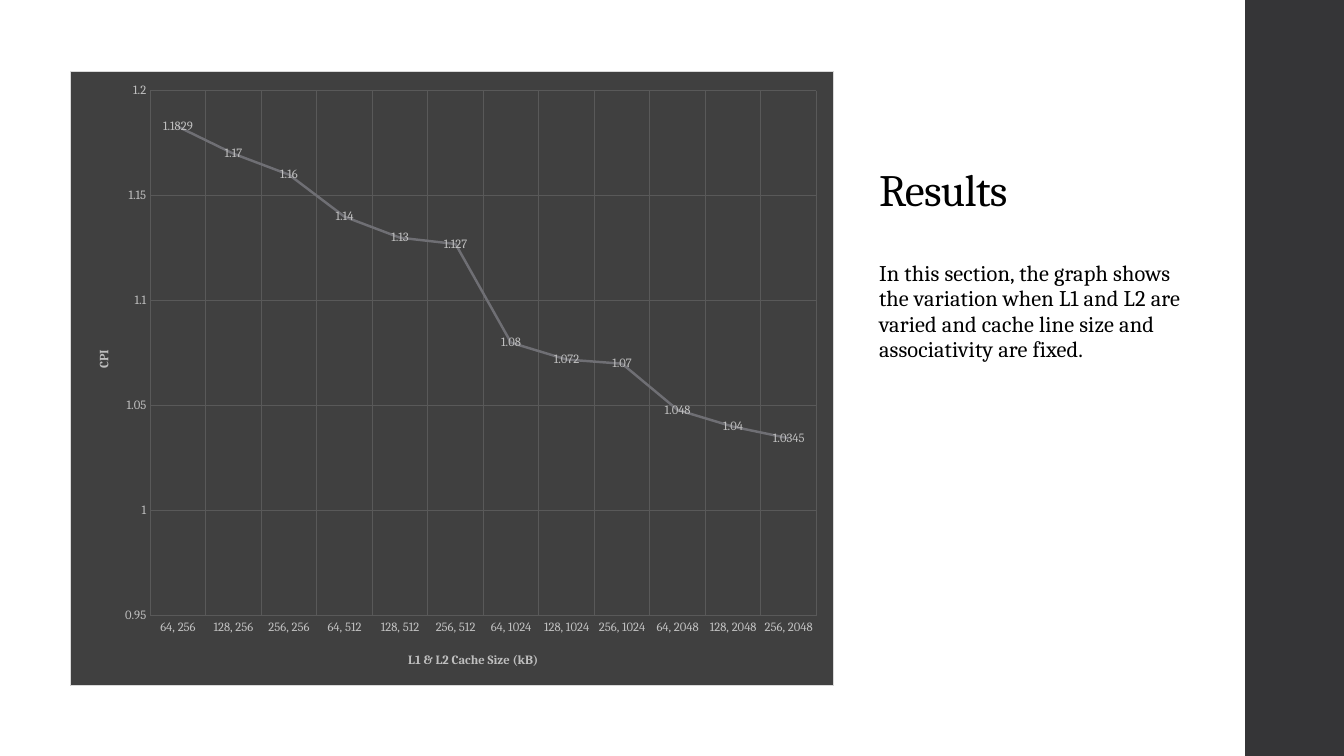
import pptx
import pptx.chart.data
import pptx.dml.color
import pptx.enum.chart
import pptx.enum.shapes
import pptx.enum.text
import pptx.oxml
import pptx.oxml.ns
import pptx.util

Inches, Pt = pptx.util.Inches, pptx.util.Pt
qn = pptx.oxml.ns.qn
FONT = "Cambria"
BLACK, LABEL, PANEL, GRID = "000000", "BFBFBF", "404040", "595959"

L2_SIZES = (256, 512, 1024, 2048)
L1_SIZES = (64, 128, 256)
CPI = (1.1829, 1.17, 1.16, 1.14, 1.13, 1.127, 1.08, 1.072, 1.07, 1.048, 1.04, 1.0345)


def rgb(value):
    return pptx.dml.color.RGBColor.from_string(value)


def set_attrs(obj, values):
    for name, value in values.items():
        setattr(obj, name, value)


def set_font(font, size, color, bold=False):
    set_attrs(font, {"name": FONT, "size": Pt(size), "bold": bold})
    font.color.rgb = rgb(color)


def add_bar(slide, x, y, w, h, color):
    sp = slide.shapes.add_shape(
        pptx.enum.shapes.MSO_SHAPE.RECTANGLE, Inches(x), Inches(y), Inches(w), Inches(h))
    sp.shadow.inherit = False
    sp.fill.solid()
    sp.fill.fore_color.rgb = rgb(color)
    sp.line.fill.background()


def add_text(slide, text, x, y, w, h, size, spacing, anchor, para):
    """Add wrapped text; spacing is the tracking in hundredths of a point."""
    tf = slide.shapes.add_textbox(Inches(x), Inches(y), Inches(w), Inches(h)).text_frame
    set_attrs(tf, {"word_wrap": True, "vertical_anchor": anchor})
    p = tf.paragraphs[0]
    set_attrs(p, para)
    r = p.add_run()
    r.text = text
    set_font(r.font, size, BLACK)
    r.font._element.set("spc", str(spacing))


def place(parent, **fractions):
    """Give a chart part a manual layout in fractions of the chart area."""
    layout = parent.find(qn("c:layout"))
    if layout is None:
        layout = pptx.oxml.parse_xml('<c:layout %s/>' % pptx.oxml.ns.nsdecls("c"))
        tx = parent.find(qn("c:tx"))
        parent.insert(0 if tx is None else 1, layout)
    for child in list(layout):
        layout.remove(child)
    manual = layout.makeelement(qn("c:manualLayout"), {})
    layout.append(manual)
    values = {"xMode": "edge", "yMode": "edge", **fractions}
    if "w" in fractions:
        values = {"layoutTarget": "inner", **values}
    for name, value in values.items():
        manual.append(manual.makeelement(qn("c:" + name), {"val": str(value)}))


def style_axis(axis, title, x, y):
    none = pptx.enum.chart.XL_TICK_MARK.NONE
    set_attrs(axis, {"major_tick_mark": none, "minor_tick_mark": none,
                     "has_major_gridlines": True, "has_title": True})
    axis.format.line.fill.background()
    grid = axis.major_gridlines.format.line
    grid.width = Pt(0.75)
    grid.color.rgb = rgb(GRID)
    set_font(axis.tick_labels.font, 9, LABEL)
    p = axis.axis_title.text_frame.paragraphs[0]
    r = p.add_run()
    r.text = title
    set_font(r.font, 9, LABEL, bold=True)
    place(axis.axis_title._element, x=x, y=y)


def style_chart_area(chart):
    area = pptx.oxml.parse_xml(
        '<c:spPr %s><a:solidFill><a:srgbClr val="%s"/></a:solidFill>'
        '<a:ln w="9525"><a:solidFill><a:srgbClr val="D9D9D9"/></a:solidFill></a:ln></c:spPr>'
        % (pptx.oxml.ns.nsdecls("c", "a"), PANEL))
    chart._chartSpace.chart.addnext(area)


def add_cpi_chart(slide, x, y, w, h):
    data = pptx.chart.data.CategoryChartData()
    data.categories = [f"{l1}, {l2}" for l2 in L2_SIZES for l1 in L1_SIZES]
    data.add_series("Series 1", CPI)
    chart = slide.shapes.add_chart(
        pptx.enum.chart.XL_CHART_TYPE.LINE,
        Inches(x), Inches(y), Inches(w), Inches(h), data).chart
    set_attrs(chart, {"has_legend": False, "has_title": False})
    set_font(chart.font, 10, BLACK)
    style_chart_area(chart)
    style_axis(chart.category_axis, "L1 & L2 Cache Size (kB)", 0.44, 0.94)
    style_axis(chart.value_axis, "CPI", 0.03, 0.45)
    set_attrs(chart.value_axis,
              {"minimum_scale": 0.95, "maximum_scale": 1.2, "major_unit": 0.05})

    plot = chart.plots[0]
    set_attrs(plot, {"vary_by_categories": False, "has_data_labels": True})
    set_attrs(plot.data_labels, {"show_value": True,
                                 "position": pptx.enum.chart.XL_LABEL_POSITION.CENTER})
    set_font(plot.data_labels.font, 9, LABEL)
    series = plot.series[0]
    series.smooth = False
    series.marker.style = pptx.enum.chart.XL_MARKER_STYLE.NONE
    series.format.line.width = Pt(1.75)
    series.format.line.color.rgb = rgb("6F6F74")
    place(chart._chartSpace.chart.plotArea, x=0.105, y=0.032, w=0.873, h=0.854)


def main():
    prs = pptx.Presentation()
    set_attrs(prs, {"slide_width": Inches(13.33), "slide_height": Inches(7.5)})
    slide = prs.slides.add_slide(prs.slide_layouts[6])
    anchor = pptx.enum.text.MSO_ANCHOR
    add_bar(slide, 12.35, 0, 0.98, 7.5, "353537")
    add_text(slide, "Results", 8.62, 0.7, 3.36, 1.49, 32, -50, anchor.BOTTOM,
             {"line_spacing": 0.9})
    add_text(slide,
             "In this section, the graph shows the variation when L1 and L2 are varied "
             "and cache line size and associativity are fixed.",
             8.62, 2.54, 3.36, 4.22, 16, 10, anchor.TOP,
             {"line_spacing": 0.95, "space_before": Pt(14), "space_after": Pt(2)})
    add_cpi_chart(slide, 0.69, 0.7, 7.58, 6.11)
    prs.save("out.pptx")


if __name__ == "__main__":
    main()
